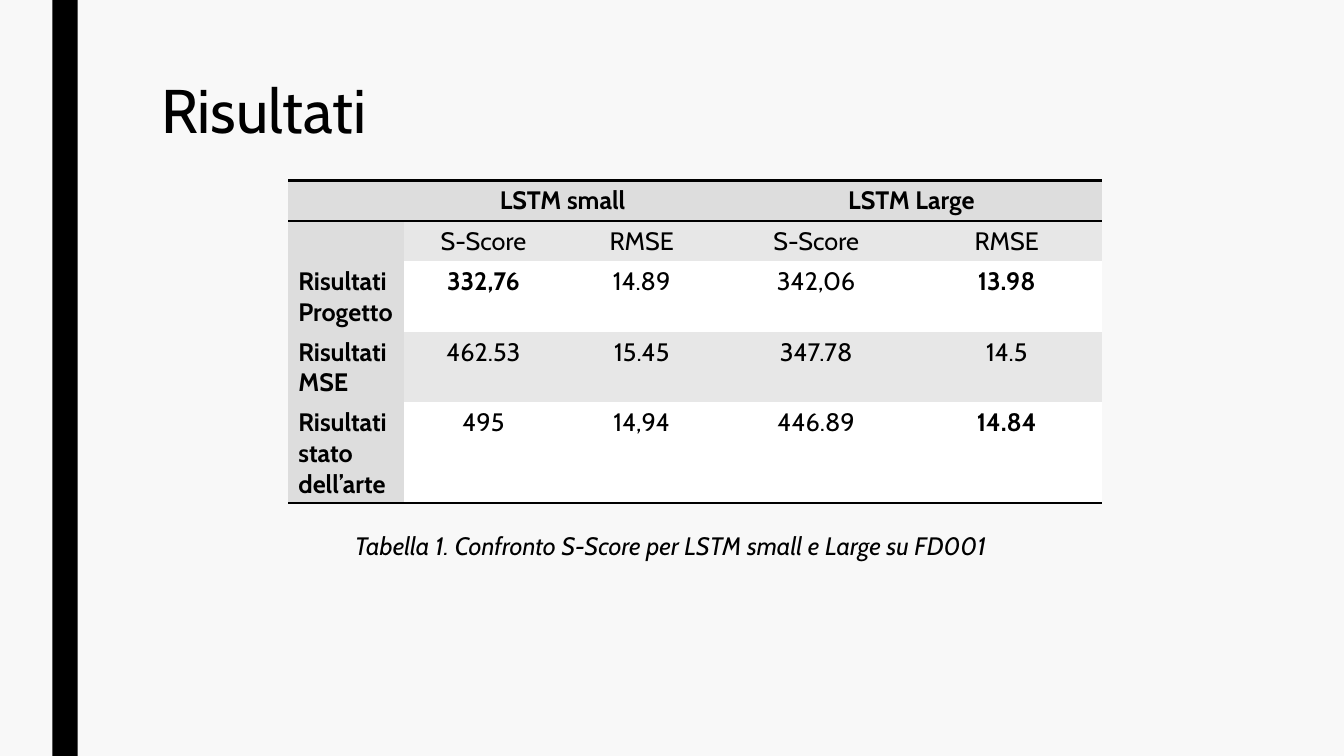
from dataclasses import dataclass

from lxml import etree
from pptx import Presentation
from pptx.dml.color import RGBColor
from pptx.enum.shapes import MSO_SHAPE
from pptx.enum.text import MSO_ANCHOR, PP_ALIGN
from pptx.oxml.ns import qn
from pptx.util import Inches, Pt

RECT = MSO_SHAPE.RECTANGLE
TOP = MSO_ANCHOR.TOP
LEFT, CENTER = PP_ALIGN.LEFT, PP_ALIGN.CENTER


@dataclass(frozen=True)
class Theme:
    font: str = "Cabin"
    ink: str = "000000"
    ground: str = "F8F8F8"
    header: str = "DDDDDD"
    bands: tuple = ("FFFFFF", "E7E7E7")
    title: int = 44
    body: int = 18
    rule: int = 2


class Deck:
    """Draws on one slide; every length is a percentage of the slide's size."""

    def __init__(self, theme):
        self.theme = theme
        self.prs = Presentation()
        self.prs.slide_width, self.prs.slide_height = Inches(13.33), Inches(7.5)
        self.s = self.prs.slides.add_slide(self.prs.slide_layouts[6])
        self.paint(self.s.background.fill, theme.ground)

    def x(self, share):
        return round(self.prs.slide_width * share / 100)

    def y(self, share):
        return round(self.prs.slide_height * share / 100)

    def box(self, left, top, width, height):
        return self.x(left), self.y(top), self.x(width), self.y(height)

    def paint(self, fill, color):
        fill.solid()
        fill.fore_color.rgb = RGBColor.from_string(color)

    def add_text(self, tf, text, size, align=LEFT, spacing=1.0, **style):
        p = tf.paragraphs[0]
        p.alignment, p.line_spacing = align, spacing
        r = p.add_run()
        r.text = text
        r.font.color.rgb = RGBColor.from_string(self.theme.ink)
        formats = {"name": self.theme.font, "size": Pt(size), **style}
        for name, value in formats.items():
            setattr(r.font, name, value)

    def bar(self, *place):
        sp = self.s.shapes.add_shape(RECT, *self.box(*place))
        sp.shadow.inherit = False
        sp.line.fill.background()
        self.paint(sp.fill, self.theme.ink)

    def text(self, place, text, size, **style):
        tf = self.s.shapes.add_textbox(*self.box(*place)).text_frame
        tf.word_wrap, tf.vertical_anchor = True, TOP
        self.add_text(tf, text, size, **style)

    def borders(self, cell, ruled):
        """Rule the named sides of a cell and clear the others."""
        tcPr = cell._tc.get_or_add_tcPr()
        for side in "LRTB":
            ln = etree.SubElement(tcPr, qn(f"a:ln{side}"))
            if side in ruled:
                ln.set("w", str(Pt(self.theme.rule)))
                fill = etree.SubElement(ln, qn("a:solidFill"))
                etree.SubElement(fill, qn("a:srgbClr"), val=self.theme.ink)
            else:
                etree.SubElement(ln, qn("a:noFill"))

    def table(self, left, top, widths, heights, rows, bold, merges):
        """Header row and first column are dark, the other rows are banded."""
        place = self.box(left, top, sum(widths), sum(heights))
        tbl = self.s.shapes.add_table(len(rows), len(widths), *place).table
        tbl.first_row = tbl.horz_banding = False
        for column, width in zip(tbl.columns, widths):
            column.width = self.x(width)
        for row, height in zip(tbl.rows, heights):
            row.height = self.y(height)
        for start, end in merges:
            tbl.cell(*start).merge(tbl.cell(*end))

        ruled_edges = (0, 1, len(rows))
        for i, row in enumerate(rows):
            sides = "T" * (i in ruled_edges) + "B" * (i + 1 in ruled_edges)
            for j, value in enumerate(row):
                cell = tbl.cell(i, j)
                heading = i == 0 or j == 0
                self.borders(cell, sides)
                self.paint(cell.fill, self.theme.header if heading else self.theme.bands[i % 2])
                if value:
                    self.add_text(cell.text_frame, value, self.theme.body,
                                  align=CENTER if j else LEFT,
                                  bold=heading or (i, j) in bold)


def main():
    theme = Theme()
    deck = Deck(theme)
    deck.bar(3.9, 0, 1.88, 100)
    deck.text((11.25, 10, 78.77, 21.6), "Risultati", theme.title, spacing=0.89)
    deck.table(
        21.45, 23.87,
        widths=[8.63] + [11.78] * 2 + [14.18] * 2,
        heights=[5.33] * 2 + [9.2] * 3,
        rows=[
            ["", "LSTM small", "", "LSTM Large", ""],
            ["", "S-Score", "RMSE", "S-Score", "RMSE"],
            ["Risultati Progetto", "332,76", "14.89", "342,06", "13.98"],
            ["Risultati MSE", "462.53", "15.45", "347.78", "14.5"],
            ["Risultati stato dell’arte", "495", "14,94", "446.89", "14.84"],
        ],
        bold={(2, 1), (2, 4), (4, 4)},
        merges=[((0, 1), (0, 2)), ((0, 3), (0, 4))],
    )
    deck.text((25.66, 69.47, 57.69, 5.33),
              "Tabella 1. Confronto S-Score per LSTM small e Large su FD001",
              theme.body, italic=True)
    deck.prs.save("out.pptx")


if __name__ == "__main__":
    main()
